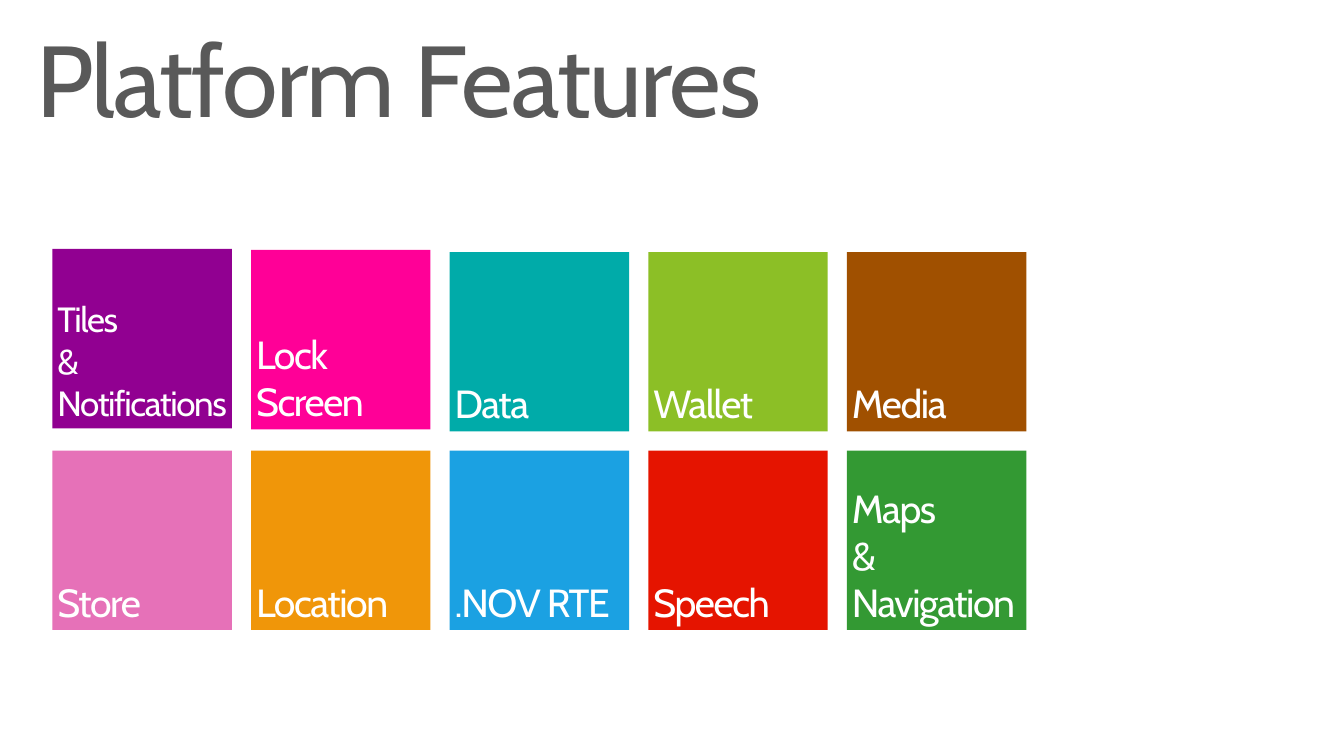
"""Build the Platform Features slide: a title above a grid of coloured tiles."""
from dataclasses import dataclass

import pptx
import pptx.dml.color
import pptx.enum.shapes
import pptx.enum.text
import pptx.slide
import pptx.text.text
import pptx.util


@dataclass(frozen=True)
class Theme:
    """Colours, font and type sizes of the slide."""

    face: str = "Cabin"
    ink: str = "595959"
    white: str = "FFFFFF"
    head: float = 72
    label: float = 28
    small: float = 25
    head_track: float = -1.2
    tile_track: float = -1


@dataclass(frozen=True)
class Tile:
    """One feature tile, with its rise above the row line in inches."""

    text: str
    fill: str
    size: float = Theme.label
    rise: float = 0


THEME = Theme()
LEFT, TOP, SIDE, PITCH, INSET = 0.52, 2.5, 1.78, 1.97, 0.05
ROWS = (
    (
        Tile("Tiles\n&\nNotifications", "910091", THEME.small, 0.03),
        Tile("Lock Screen", "FF0097", rise=0.02),
        Tile("Data", "00ABA9"),
        Tile("Wallet", "8CBF26"),
        Tile("Media", "A05000"),
    ),
    (
        Tile("Store", "E671B8"),
        Tile("Location", "F09609"),
        Tile(".NOV RTE", "1BA1E2"),
        Tile("Speech", "E51400"),
        Tile("Maps\n&\vNavigation", "339933"),
    ),
)


def style(frame: pptx.text.text.TextFrame, size: float, tint: str, track: float) -> None:
    """Left-align the text and format every run."""
    for para in frame.paragraphs:
        para.alignment = pptx.enum.text.PP_ALIGN.LEFT
        for run in para.runs:
            run.font.name = THEME.face
            run.font.size = pptx.util.Pt(size)
            run.font.color.rgb = pptx.dml.color.RGBColor.from_string(tint)
            run._r.get_or_add_rPr().set("spc", str(round(track * 100)))


def add_title(slide: pptx.slide.Slide, text: str) -> None:
    """Place and format the title."""
    title = slide.shapes.title
    title.left, title.top = pptx.util.Inches(0.26), pptx.util.Inches(0.3)
    title.width, title.height = pptx.util.Inches(7.99), pptx.util.Inches(1.81)
    frame = title.text_frame
    frame.text = text
    frame.word_wrap = True
    frame.auto_size = pptx.enum.text.MSO_AUTO_SIZE.NONE
    frame.vertical_anchor = pptx.enum.text.MSO_ANCHOR.TOP
    frame.paragraphs[0].line_spacing = 0.85
    style(frame, THEME.head, THEME.ink, THEME.head_track)


def add_tile(slide: pptx.slide.Slide, tile: Tile, row: int, col: int) -> None:
    """Draw one tile at its place in the grid."""
    side = pptx.util.Inches(SIDE)
    shape = slide.shapes.add_shape(
        pptx.enum.shapes.MSO_SHAPE.RECTANGLE,
        pptx.util.Inches(LEFT + col * PITCH),
        pptx.util.Inches(TOP + row * PITCH - tile.rise),
        side,
        side,
    )
    shape.shadow.inherit = False
    shape.fill.solid()
    shape.fill.fore_color.rgb = pptx.dml.color.RGBColor.from_string(tile.fill)
    shape.line.fill.background()
    frame = shape.text_frame
    frame.text = tile.text
    frame.word_wrap = True
    frame.vertical_anchor = pptx.enum.text.MSO_ANCHOR.BOTTOM
    inset = pptx.util.Inches(INSET)
    frame.margin_left = frame.margin_right = inset
    frame.margin_top = frame.margin_bottom = inset
    style(frame, tile.size, THEME.white, THEME.tile_track)


def main() -> None:
    """Build and save the slide."""
    deck = pptx.Presentation()
    deck.slide_width = pptx.util.Inches(13.33)
    deck.slide_height = pptx.util.Inches(7.5)
    slide = deck.slides.add_slide(deck.slide_layouts.get_by_name("Title Only"))
    add_title(slide, "Platform Features")
    for row, tiles in enumerate(ROWS):
        for col, tile in enumerate(tiles):
            add_tile(slide, tile, row, col)
    deck.save("out.pptx")


if __name__ == "__main__":
    main()
